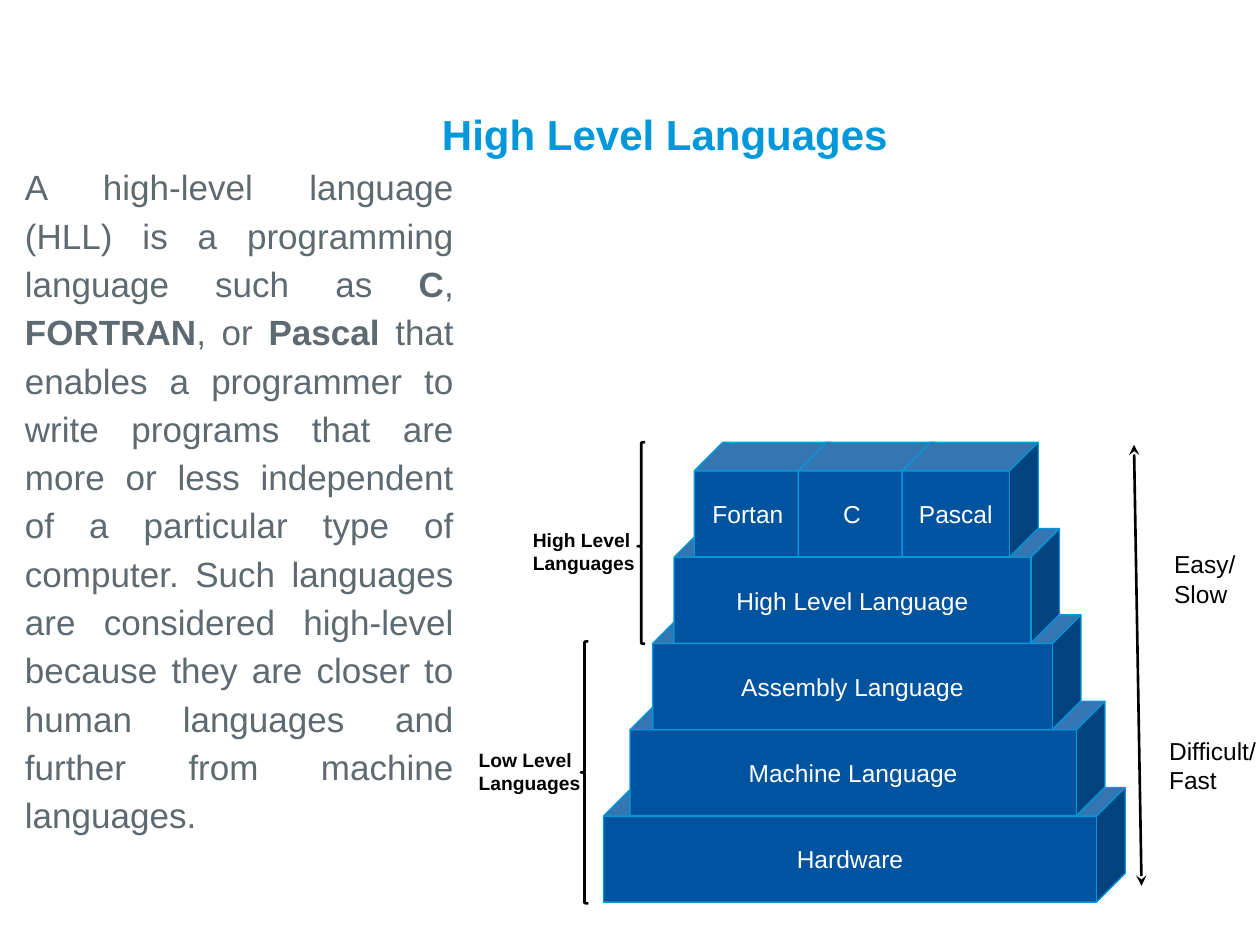
"""Build the High Level Languages slide."""
from lxml.etree import SubElement
from pptx import Presentation
from pptx.dml.color import RGBColor
from pptx.enum.shapes import MSO_CONNECTOR as CONN, MSO_SHAPE as SHAPE
from pptx.enum.text import MSO_ANCHOR as ANCHOR, PP_ALIGN as ALIGN
from pptx.oxml.ns import qn
from pptx.util import Inches, Pt

BLUE, SKY, GREY, BLACK, WHITE = "00549F", "0098DB", "5E6A71", "000000", "FFFFFF"
BASE_TOP, TIER_PITCH, CUBE_H = 6.25, 0.685, 0.91
TOP_ROW = BASE_TOP - 4 * TIER_PITCH
TIERS = [
    ("Hardware", 4.79, 4.14),
    ("Machine Language", 5, 3.77),
    ("Assembly Language", 5.18, 3.4),
    ("High Level Language", 5.35, 3.06),
]
BODY = [
    ("A high-level language (HLL) is a programming language such as ", False),
    ("C", True),
    (", ", False),
    ("FORTRAN", True),
    (", or ", False),
    ("Pascal ", True),
    ("that enables a programmer to write programs that are more or less "
     "independent of a particular type of computer. Such languages are "
     "considered high-level because they are closer to human languages and "
     "further from machine languages.", False),
]


def rgb(color):
    """Turn a hex string into a colour."""
    return RGBColor.from_string(color)


def inches(*lengths):
    """Turn plain numbers into inch lengths."""
    return [Inches(n) for n in lengths]


def style_font(p, size, color, bold=None):
    """Set the paragraph's font."""
    p.font.name, p.font.size, p.font.bold = "Arial", Pt(size), bold
    p.font.color.rgb = rgb(color)


def set_frame(tf, anchor, top=0.1, bottom=0.1):
    """Set wrapping, anchor and insets, and give the first paragraph."""
    tf.word_wrap, tf.vertical_anchor = True, anchor
    tf.margin_left = tf.margin_right = Inches(0.1)
    tf.margin_top, tf.margin_bottom = inches(top, bottom)
    return tf.paragraphs[0]


def add_label(s, text, at, size, color=BLACK, bold=None, anchor=ANCHOR.TOP, inset=0.1):
    """Add a text box in one font."""
    p = set_frame(s.shapes.add_textbox(*inches(*at)).text_frame, anchor, inset, inset)
    p.text = text
    style_font(p, size, color, bold)


def add_body(s):
    """Add the justified description with its bold language names."""
    tf = s.shapes.add_textbox(*inches(0.1, 1.31, 3.6, 5.73)).text_frame
    p = set_frame(tf, ANCHOR.MIDDLE, bottom=0.55)
    p.alignment, p.line_spacing, p.space_before = ALIGN.JUSTIFY, 1.15, Pt(5)
    style_font(p, 20, GREY)
    for text, bold in BODY:
        r = p.add_run()
        r.text, r.font.bold = text, bold


def add_cube(s, text, left, top, width):
    """Add one labelled block of the pyramid."""
    sp = s.shapes.add_shape(SHAPE.CUBE, *inches(left, top, width, CUBE_H))
    sp.shadow.inherit = False
    sp.adjustments[0] = 0.25
    sp.fill.solid()
    sp.fill.fore_color.rgb = rgb(BLUE)
    sp.line.color.rgb, sp.line.width = rgb(SKY), Pt(0.75)
    p = set_frame(sp.text_frame, ANCHOR.MIDDLE)
    p.text, p.alignment = text, ALIGN.CENTER
    style_font(p, 14, WHITE)


def add_brace(s, left, top, height, middle):
    """Add a thin left brace."""
    sp = s.shapes.add_shape(SHAPE.LEFT_BRACE, *inches(left, top, 0.06, height))
    sp.shadow.inherit = False
    sp.adjustments[0], sp.adjustments[1] = 0.083, middle
    sp.fill.background()
    sp.line.color.rgb, sp.line.width = rgb(BLACK), Pt(1.5)


def add_double_arrow(s, start, end):
    """Add a line with a stealth arrowhead at both ends."""
    line = s.shapes.add_connector(CONN.STRAIGHT, *inches(*start, *end))
    line.line.color.rgb, line.line.width = rgb(BLACK), Pt(1.5)
    ln = line.line._get_or_add_ln()
    for tag in ("a:headEnd", "a:tailEnd"):
        SubElement(ln, qn(tag), type="stealth")
    SubElement(line._element.spPr, qn("a:effectLst"))


def main():
    """Build and save the slide."""
    prs = Presentation()
    prs.slide_width, prs.slide_height = inches(10, 7.5)
    s = prs.slides.add_slide(prs.slide_layouts[6])
    add_label(s, "High Level Languages", (3.41, 0.75, 6.34, 0.56), 24, SKY, True,
              ANCHOR.BOTTOM, 0.05)
    add_body(s)
    for i, (text, left, width) in enumerate(TIERS):
        add_cube(s, text, left, BASE_TOP - i * TIER_PITCH, width)
    for i, text in enumerate(("Fortan", "C", "Pascal")):
        add_cube(s, text, 5.51 + i * 0.825, TOP_ROW, 1.08)
    add_label(s, "Easy/\nSlow", (9.22, 4.26, 1.12, 0.75), 14)
    add_label(s, "Difficult/\nFast", (9.18, 5.74, 1.12, 0.75), 14)
    add_double_arrow(s, (9.06, 7.03), (9, 3.53))
    add_brace(s, 4.61, 5.09, 2.08, 0.5)
    add_label(s, "Low Level Languages", (3.7, 5.84, 1.01, 0.38), 11, bold=True)
    add_brace(s, 5.06, TOP_ROW, 1.6, 0.516)
    add_label(s, "High Level Languages", (4.13, 4.09, 1.08, 0.38), 11, bold=True)
    prs.save("out.pptx")


if __name__ == "__main__":
    main()
